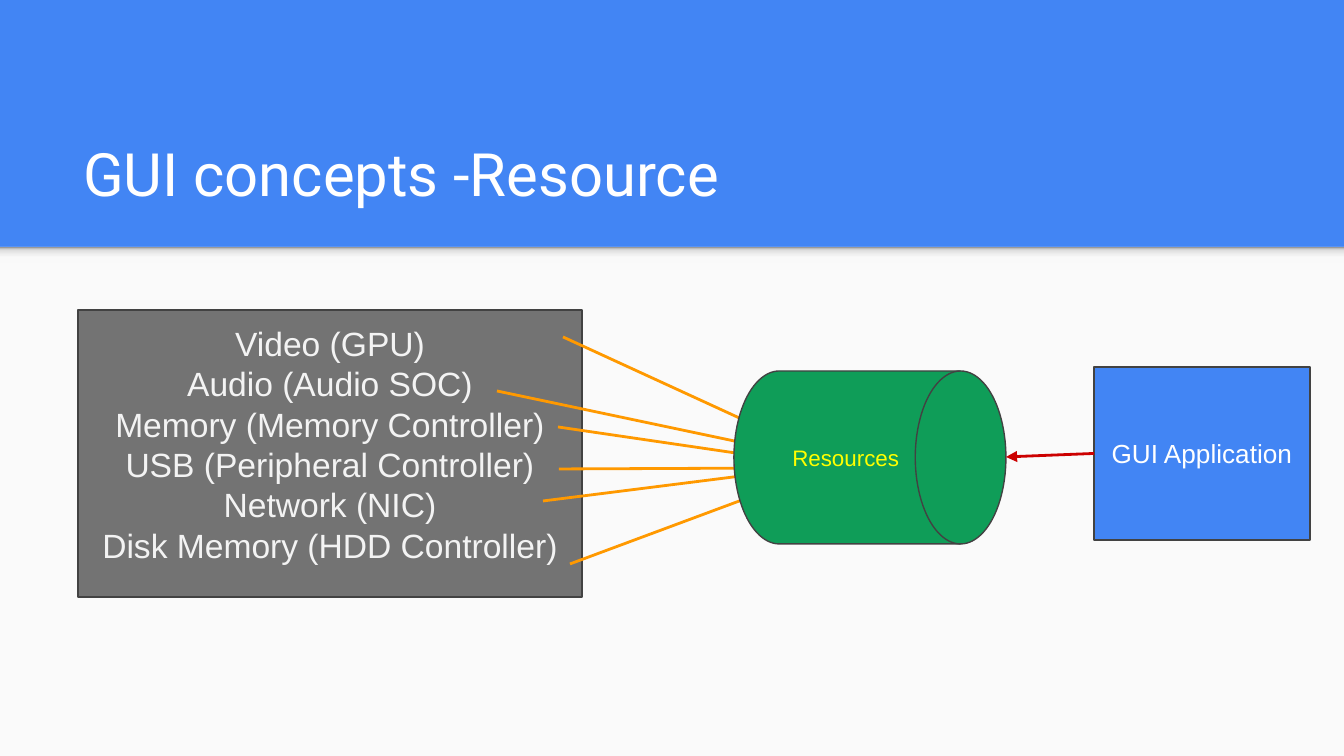
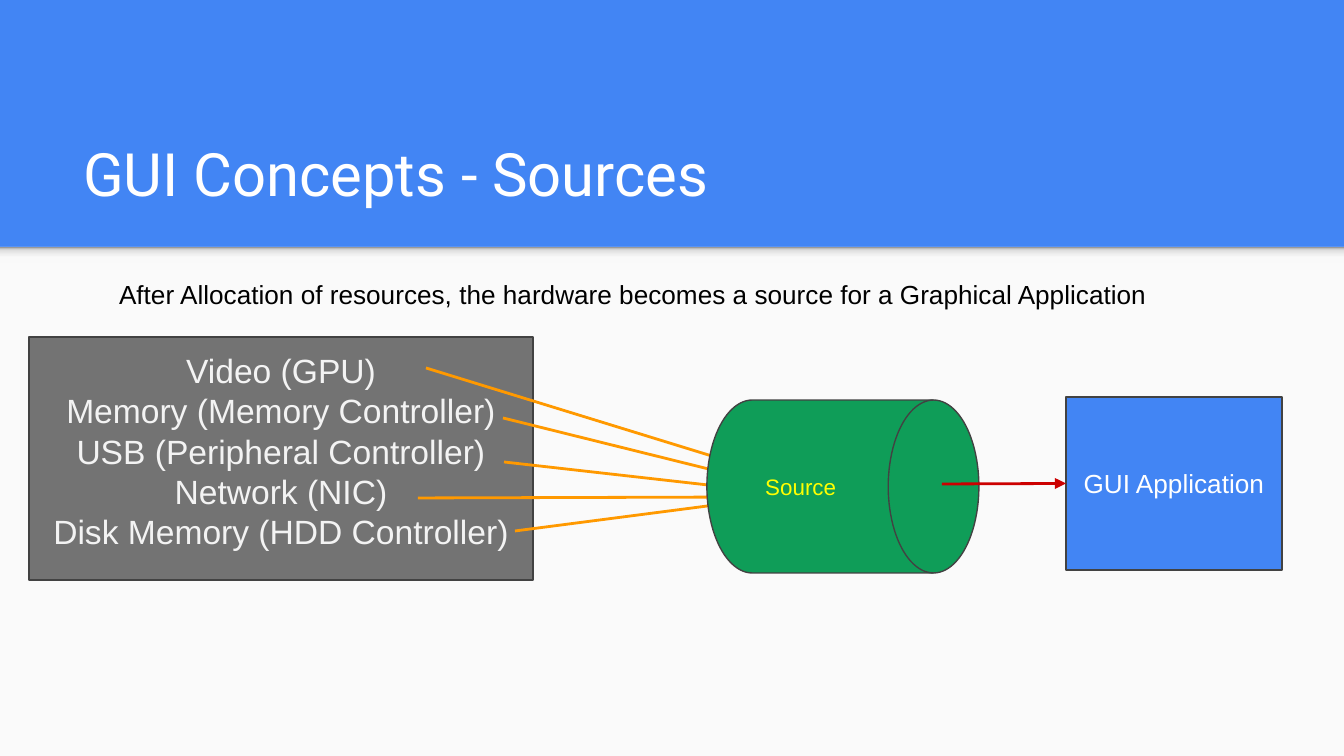
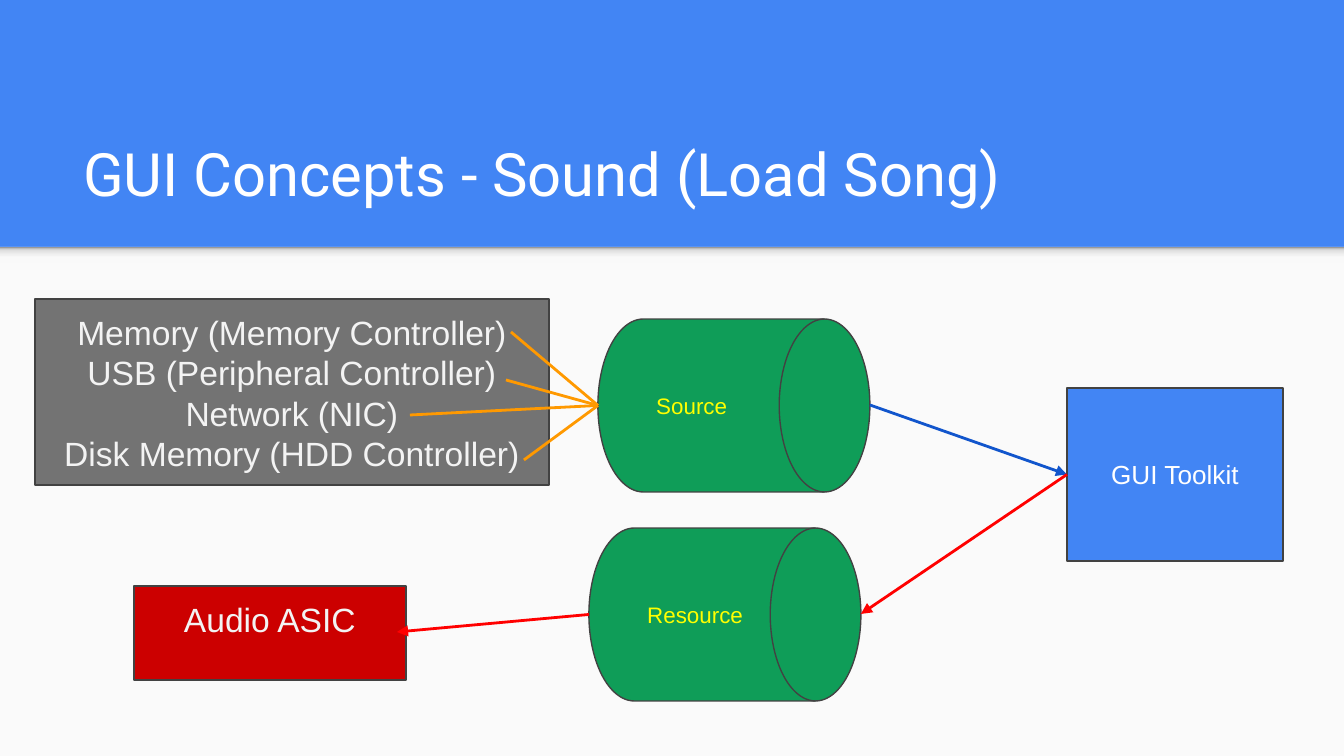
"""Build three slides on how a GUI gets at hardware resources."""
import lxml.etree
import pptx
import pptx.dml.color
import pptx.enum.shapes
import pptx.enum.text
import pptx.oxml.ns
import pptx.util

ALIGN = pptx.enum.text.PP_ALIGN
MID = pptx.enum.text.MSO_ANCHOR.MIDDLE
TOP = pptx.enum.text.MSO_ANCHOR.TOP
LOW = pptx.enum.text.MSO_ANCHOR.BOTTOM
RECT = pptx.enum.shapes.MSO_SHAPE.RECTANGLE
DRUM = pptx.enum.shapes.MSO_SHAPE.FLOWCHART_DIRECT_ACCESS_STORAGE
LINE = pptx.enum.shapes.MSO_CONNECTOR.STRAIGHT
RGB = pptx.dml.color.RGBColor.from_string
qn = pptx.oxml.ns.qn
SCALE = 914400 / 134.4

theme = {
    "back": "4285F4", "sheet": "FAFAFA", "edge": "424242",
    "shade": [(0, "F9F9F9"), (36, "F9F9F9"), (80, "DEDEDE"), (100, "999999")],
    "thin": 0.75, "thick": 1.5,
    "text": {
        "title": ("Roboto", 32, "FFFFFF", ALIGN.LEFT, LOW),
        "list": ("Arial", 18, "F3F3F3", ALIGN.CENTER, TOP),
        "chip": ("Arial", 18, "F3F3F3", ALIGN.CENTER, TOP),
        "drum": ("Arial", 12, "FFFF00", ALIGN.LEFT, MID),
        "app": ("Arial", 14, "FFFFFF", ALIGN.CENTER, MID),
        "note": ("Arial", 14, "000000", ALIGN.LEFT, TOP),
    },
    "box": {"list": (RECT, "737373"), "chip": (RECT, "CC0000"),
            "drum": (DRUM, "0F9D58"), "app": (RECT, "4285F4")},
    "line": {"ray": ("FF9900", False), "use": ("CC0000", True),
             "load": ("1155CC", True), "play": ("FF0000", True)},
}

VIDEO, AUDIO, *STORE = [
    "Video (GPU)", "Audio (Audio SOC)", "Memory (Memory Controller)",
    "USB (Peripheral Controller)", "Network (NIC)", "Disk Memory (HDD Controller)"]

slides = [
    ("GUI concepts -Resource", [
        ("list", (78, 310, 504, 287), [VIDEO, AUDIO, *STORE]),
        ("ray", (563, 337, 796, 444)),
        ("ray", (497, 391, 796, 454)),
        ("ray", (558, 427, 797, 462)),
        ("ray", (559, 469, 793, 468)),
        ("ray", (543, 501, 805, 468)),
        ("ray", (570, 564, 812, 474)),
        ("drum", (734, 371, 272, 173), ["Resources"]),
        ("app", (1094, 367, 216, 173), ["GUI Application"]),
        ("use", (1094, 453, 1006, 457)),
    ]),
    ("GUI Concepts - Sources", [
        ("list", (29, 337, 504, 243), [VIDEO, *STORE]),
        ("ray", (426, 368, 767, 473)),
        ("ray", (503, 418, 769, 484)),
        ("ray", (504, 462, 770, 492)),
        ("ray", (418, 498, 765, 497)),
        ("ray", (515, 531, 777, 497)),
        ("drum", (707, 400, 272, 173), ["Source"]),
        ("app", (1066, 397, 216, 173), ["GUI Application"]),
        ("use", (942, 484, 1066, 483)),
        ("note", (106, 265, 1089, 58), [
            "After Allocation of resources, the hardware becomes a source "
            "for a Graphical Application"]),
    ]),
    ("GUI Concepts - Sound (Load Song)", [
        ("chip", (134, 586, 272, 94), ["Audio ASIC"]),
        ("drum", (598, 319, 272, 173), ["Source"]),
        ("app", (1067, 388, 216, 173), ["GUI Toolkit"]),
        ("drum", (589, 528, 272, 173), ["Resource"]),
        ("load", (870, 405, 1067, 474)),
        ("play", (1067, 474, 861, 614)),
        ("play", (589, 614, 397, 632)),
        ("list", (35, 299, 514, 186), STORE),
        ("ray", (506, 380, 598, 405)),
        ("ray", (410, 415, 598, 405)),
        ("ray", (524, 460, 598, 405)),
        ("ray", (511, 332, 598, 405)),
    ]),
]


def px(*nums):
    return [pptx.util.Emu(round(num * SCALE)) for num in nums]


def write(shape, kind, rows):
    face, size, hue, align, anchor = theme["text"][kind]
    frame = shape.text_frame
    frame.text = "\n".join(rows)
    pad = px(13)[0]
    form = {"word_wrap": True, "auto_size": pptx.enum.text.MSO_AUTO_SIZE.NONE,
            "vertical_anchor": anchor, "margin_left": pad, "margin_top": pad,
            "margin_right": pad, "margin_bottom": pad}
    for key, val in form.items():
        setattr(frame, key, val)
    for para in frame.paragraphs:
        para.alignment = align
        for run in para.runs:
            for key, val in {"name": face, "size": pptx.util.Pt(size)}.items():
                setattr(run.font, key, val)
            run.font.color.rgb = RGB(hue)


deck = pptx.Presentation()
deck.slide_width, deck.slide_height = px(1344, 756)
base = deck.slide_layouts[5]
base.background.fill.solid()
base.background.fill.fore_color.rgb = RGB(theme["back"])

for index, (title, items) in enumerate(slides):
    slide = deck.slides.add_slide(base)
    shapes = slide.shapes

    if index == 0:
        sheet = shapes.add_shape(RECT, *px(0, 247, 1344, 509))
        sheet.fill.solid()
        sheet.fill.fore_color.rgb = RGB(theme["sheet"])
        shade = shapes.add_shape(RECT, *px(0, 247, 1344, 16))
        shade.fill.gradient()
        shade.fill.gradient_angle = 90
        stops = shade.element.spPr.find(".//" + qn("a:gsLst"))
        for stop in list(stops):
            stops.remove(stop)
        for place, hue in theme["shade"]:
            stop = lxml.etree.SubElement(stops, qn("a:gs"), pos=str(place * 1000))
            lxml.etree.SubElement(stop, qn("a:srgbClr"), val=hue)
        for spot, band in enumerate([sheet, shade], 2):
            band.shadow.inherit = False
            band.line.fill.background()
            base.shapes.element.insert(spot, band.element)

    head = shapes.title
    head.left, head.top, head.width, head.height = px(70, 109, 1208, 113)
    write(head, "title", [title])

    joints = {}
    for kind, place, *rows in items:
        if kind in theme["line"]:
            hue, arrow = theme["line"][kind]
            line = shapes.add_connector(LINE, *px(*place))
            line.line.color.rgb = RGB(hue)
            line.line.width = pptx.util.Pt(theme["thick"])
            if arrow:
                stroke = line.element.spPr.find(qn("a:ln"))
                lxml.etree.SubElement(stroke, qn("a:tailEnd"), type="triangle")
            lxml.etree.SubElement(line.element.spPr, qn("a:effectLst"))
            for join, point in [(line.begin_connect, place[:2]), (line.end_connect, place[2:])]:
                if point in joints:
                    join(*joints[point])
        elif kind == "note":
            write(shapes.add_textbox(*px(*place)), kind, rows[0])
        else:
            form, hue = theme["box"][kind]
            box = shapes.add_shape(form, *px(*place))
            box.shadow.inherit = False
            box.fill.solid()
            box.fill.fore_color.rgb = RGB(hue)
            box.line.color.rgb = RGB(theme["edge"])
            box.line.width = pptx.util.Pt(theme["thin"])
            write(box, kind, rows[0])
            left, top, wide, high = place
            joints[left, top + high // 2] = (box, 1)
            if form == RECT:
                joints[left + wide, top + high // 2] = (box, 3)

deck.save("out.pptx")
